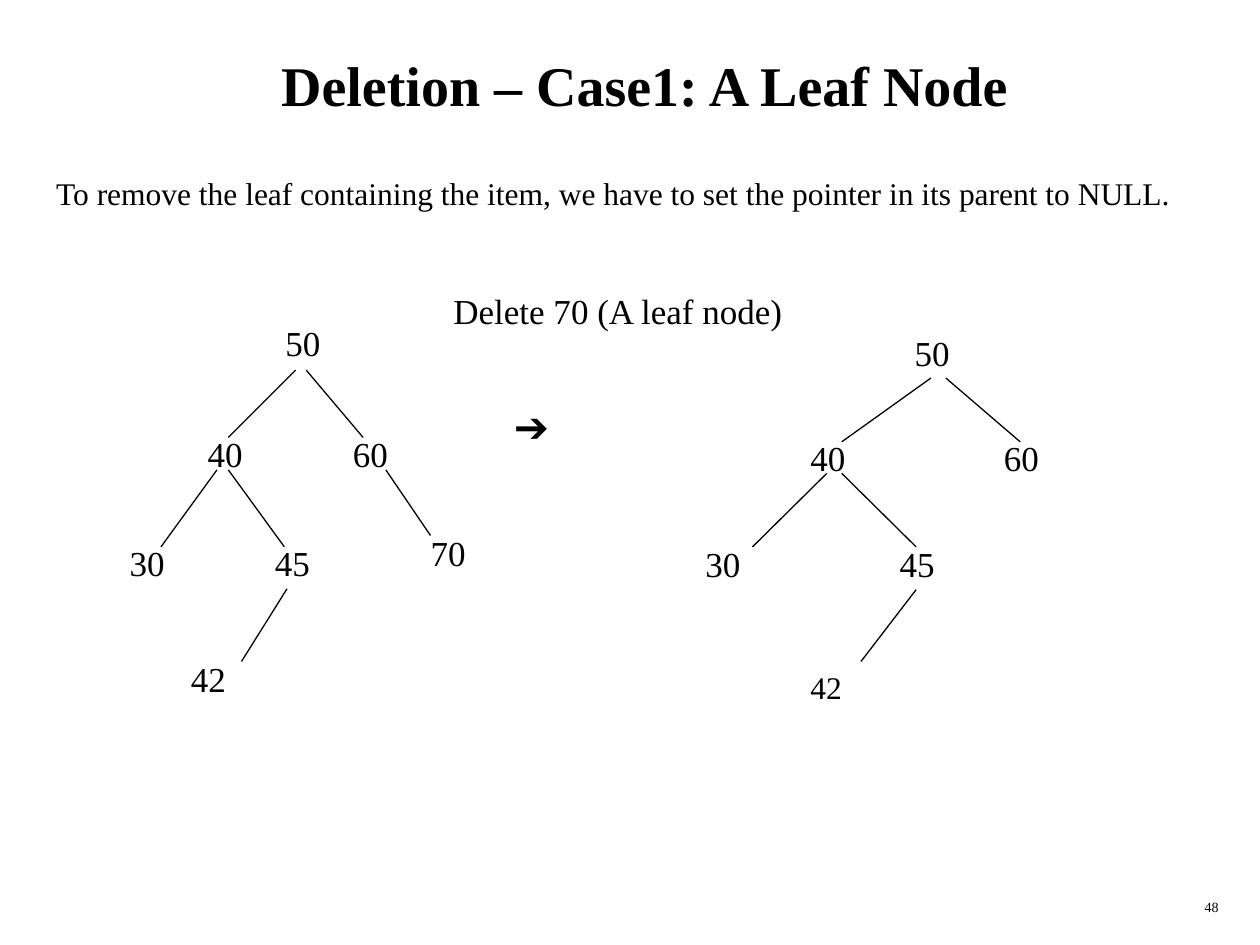
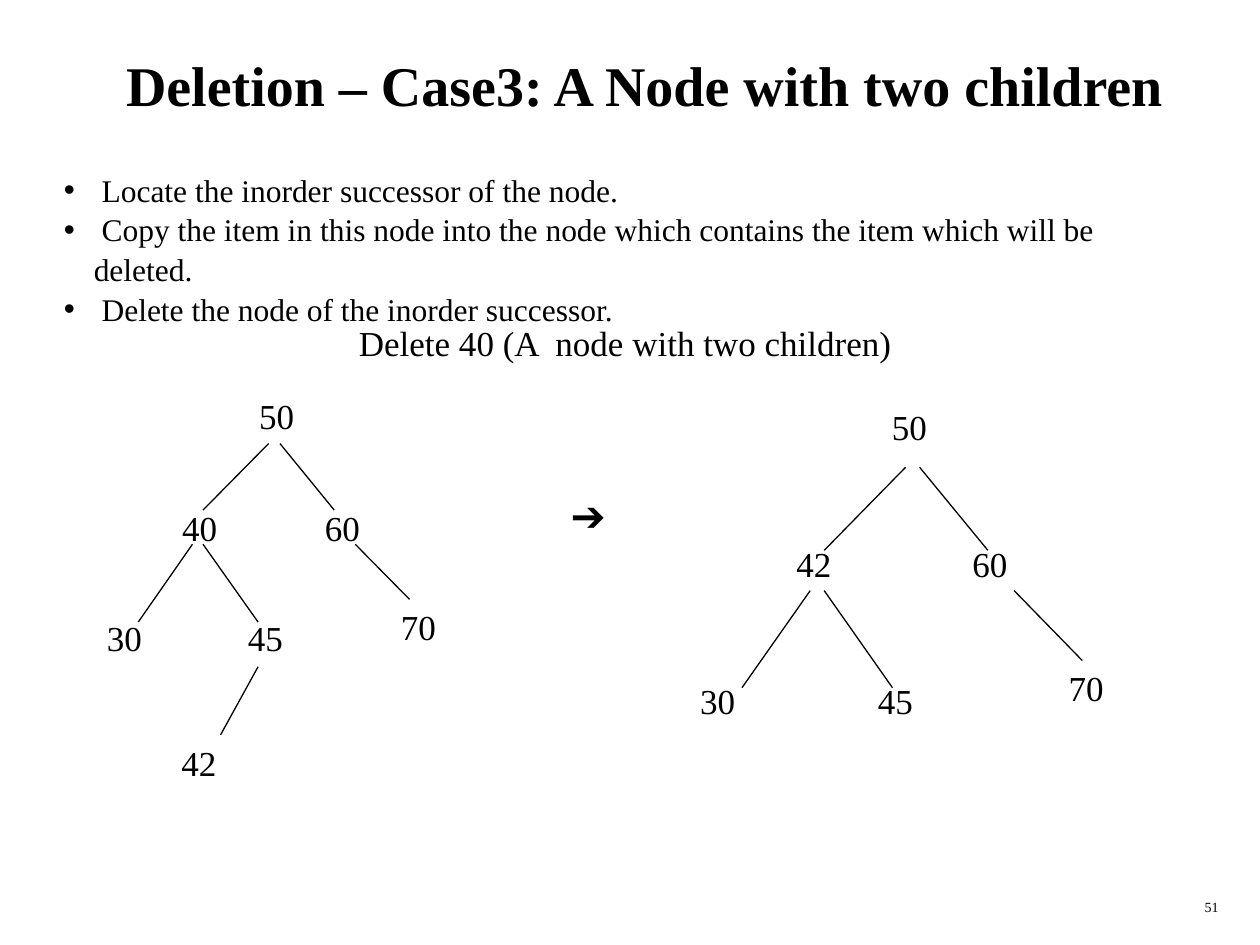
import pptx
import pptx.dml.color
import pptx.enum.shapes
import pptx.enum.text
import pptx.oxml
import pptx.oxml.ns
import pptx.util
from pptx.util import Pt

BLACK = pptx.dml.color.RGBColor(0, 0, 0)
WHITE = pptx.dml.color.RGBColor(255, 255, 255)
ALIGN = pptx.enum.text.PP_ALIGN
ANCHOR = pptx.enum.text.MSO_ANCHOR
FRAME = {
    "margin_left": Pt(7.2),
    "margin_right": Pt(7.2),
    "margin_top": Pt(3.6),
    "margin_bottom": Pt(3.6),
    "auto_size": pptx.enum.text.MSO_AUTO_SIZE.NONE,
}
SERIF = "Times New Roman"
BULLET_INDENT = 17
NODE_SIZE = (34.5, 31.5)


def apply_format(target, values):
    for name, value in values.items():
        setattr(target, name, value)


class Deck:
    def __init__(self):
        self.presentation = pptx.Presentation()
        self.presentation.slide_width = Pt(720)
        self.presentation.slide_height = Pt(540)
        self.slide = None

    def add_slide(self, title, number):
        layout = self.presentation.slide_layouts[5]
        self.slide = self.presentation.slides.add_slide(layout)
        background = self.slide.background.fill
        background.solid()
        background.fore_color.rgb = WHITE
        heading = self.slide.shapes.title
        bounds = {"left": Pt(28), "top": Pt(12), "width": Pt(681), "height": Pt(72)}
        apply_format(heading, bounds)
        self.fill_text(heading, [title], 32, bold=True, align=ALIGN.CENTER, anchor=ANCHOR.MIDDLE)
        self.text([number], (553.5, 510, 150, 18), 8, align=ALIGN.RIGHT)

    def fill_text(self, shape, lines, size, font=SERIF, bold=False, align=ALIGN.LEFT,
                  anchor=ANCHOR.TOP, wrap=True, bullets=False):
        frame = shape.text_frame
        apply_format(frame, {**FRAME, "word_wrap": wrap, "vertical_anchor": anchor})
        for index, line in enumerate(lines):
            paragraph = frame.add_paragraph() if index else frame.paragraphs[0]
            paragraph.text = line
            paragraph.alignment = align
            if bullets:
                self.bullet(paragraph)
            run_font = paragraph.runs[0].font
            apply_format(run_font, {"name": font, "size": Pt(size), "bold": bold})
            run_font.color.rgb = BLACK

    def bullet(self, paragraph):
        paragraph.line_spacing = 1.05
        properties = paragraph._p.get_or_add_pPr()
        properties.set("marL", str(Pt(BULLET_INDENT)))
        properties.set("indent", str(-Pt(BULLET_INDENT)))
        namespace = pptx.oxml.ns.nsdecls("a")
        for xml in (f'<a:buFont {namespace} typeface="Arial"/>',
                    f'<a:buChar {namespace} char="•"/>'):
            properties.append(pptx.oxml.parse_xml(xml))

    def text(self, lines, bounds, size, **style):
        box = self.slide.shapes.add_textbox(*map(Pt, bounds))
        self.fill_text(box, lines, size, **style)

    def result_arrow(self, left, top):
        self.text(["➔"], (left, top, 38, 36), 24, font="Arial", wrap=False)

    def branch(self, ends):
        line = self.slide.shapes.add_connector(
            pptx.enum.shapes.MSO_CONNECTOR.STRAIGHT, *map(Pt, ends))
        line.line.color.rgb = BLACK
        line.line.width = Pt(0.75)
        line._element.spPr.append(pptx.oxml.parse_xml(
            f'<a:effectLst {pptx.oxml.ns.nsdecls("a")}/>'))

    def tree(self, nodes, sizes=None):
        for key, left, top, branch_ends in nodes:
            if branch_ends:
                self.branch(branch_ends)
            size = (sizes or {}).get(key, 20)
            self.text([key], (left, top, *NODE_SIZE), size, wrap=False)


LEAF_BEFORE = [
    ("50", 156, 180, None),
    ("40", 111.5, 243.5, (169, 211.5, 130.5, 250)),
    ("60", 194.5, 243.5, (175, 211.5, 207.5, 250)),
    ("30", 67, 306, (124, 268.5, 92, 312.5)),
    ("45", 150, 306, (130.5, 268.5, 162.5, 312.5)),
    ("70", 239, 300, (220.5, 268.5, 246, 306)),
    ("42", 102, 372, (164, 336.5, 138, 378)),
]
LEAF_AFTER = [
    ("50", 515.5, 186, None),
    ("40", 456, 246, (532, 216, 481, 252.5)),
    ("60", 566.5, 246, (540.5, 216, 583, 252.5)),
    ("30", 396, 306.5, (472.5, 270.5, 430, 312.5)),
    ("45", 507, 306.5, (481, 270.5, 523.5, 312.5)),
    ("42", 456, 378, (523.5, 337, 492, 378)),
]
TWO_CHILDREN_BEFORE = [
    ("50", 141, 222, None),
    ("40", 97, 286, (153.5, 253.5, 116, 291.5)),
    ("60", 178.5, 286, (160, 253.5, 191, 291.5)),
    ("30", 54, 349, (110, 311, 79, 355.5)),
    ("45", 134.5, 349, (116, 311, 147.5, 355.5)),
    ("70", 222, 342.5, (203, 311, 234, 342.5)),
    ("42", 96.5, 420, (147.5, 381, 126, 420)),
]
TWO_CHILDREN_AFTER = [
    ("50", 502.5, 228, None),
    ("42", 448, 306.5, (517.5, 267, 471, 314.5)),
    ("60", 548.5, 306.5, (525.5, 267, 564.5, 314.5)),
    ("30", 393, 385, (463, 337.5, 424, 393)),
    ("45", 494.5, 385, (471, 337.5, 510, 393)),
    ("70", 603.5, 377.5, (579.5, 337.5, 618.5, 377.5)),
]


def main():
    deck = Deck()

    deck.add_slide("Deletion – Case1: A Leaf Node", "48")
    deck.text(["To remove the leaf containing the item, we have to set the pointer "
               "in its parent to NULL."], (25, 96, 652.5, 29), 18, wrap=False)
    deck.text(["Delete 70 (A leaf node)"], (252, 162, 204, 31.5), 20, wrap=False)
    deck.result_arrow(286.5, 225.5)
    deck.tree(LEAF_BEFORE)
    deck.tree(LEAF_AFTER, {"42": 18})

    deck.add_slide("Deletion – Case3: A Node with two children", "51")
    deck.text([" Locate the inorder successor of the node.",
               " Copy the item in this node into the node which contains the item "
               "which will be deleted.",
               " Delete the node of the inorder successor."],
              (29.5, 93, 653, 72), 18, bullets=True)
    deck.text(["Delete 40 (A  node with two children)"], (198, 180, 319.5, 31.5), 20, wrap=False)
    deck.result_arrow(319, 276)
    deck.tree(TWO_CHILDREN_BEFORE)
    deck.tree(TWO_CHILDREN_AFTER)

    deck.presentation.save("out.pptx")


if __name__ == "__main__":
    main()
